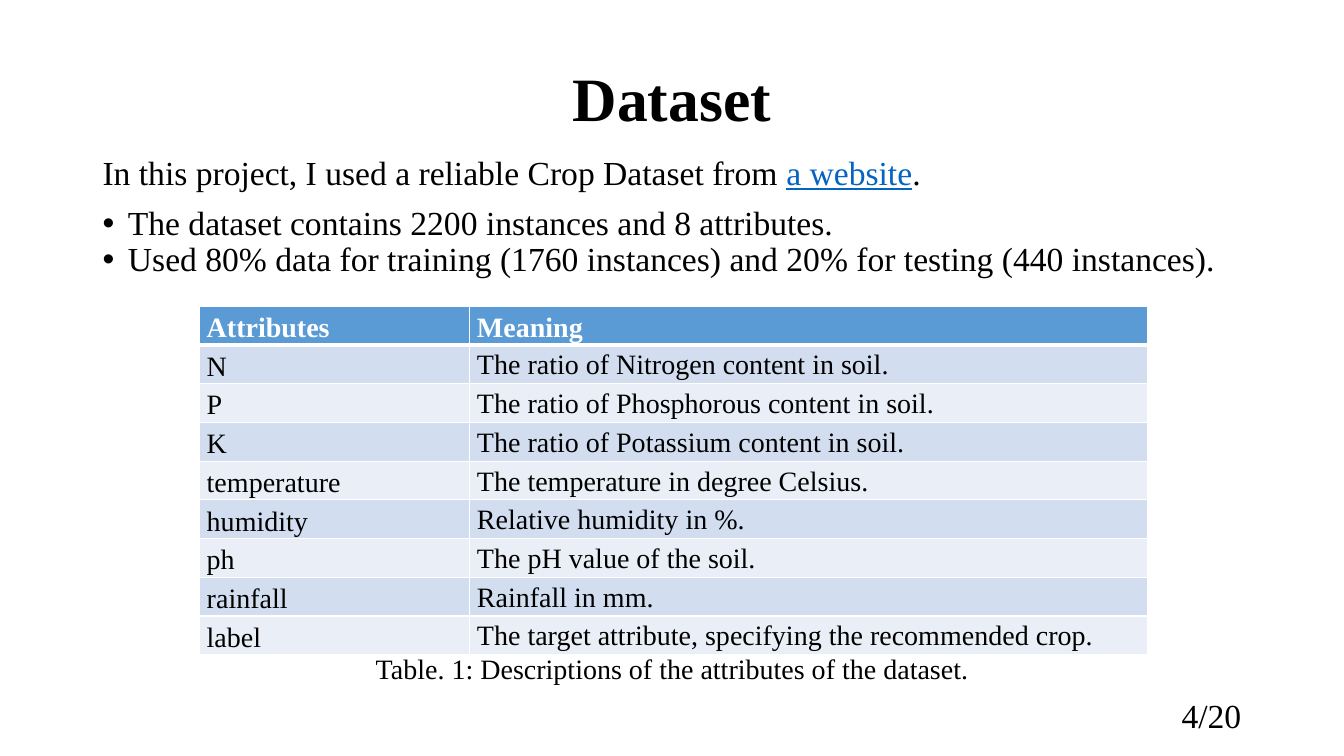
import pptx
import pptx.dml.color
import pptx.enum.text
import pptx.oxml
import pptx.oxml.ns
import pptx.util
from pptx.util import Cm, Pt

FONT = "Times New Roman"
BLACK, WHITE, LINK_BLUE = "000000", "FFFFFF", "0563C1"
HEADER_FILL, BAND_FILLS = "5B9BD5", ("D2DEEF", "EAEFF7")
ALIGN = pptx.enum.text.PP_ALIGN
ANCHOR = pptx.enum.text.MSO_ANCHOR

INTRO = ("In this project, I used a reliable Crop Dataset from ", "a website", ".")
FACTS = (
    "The dataset contains 2200 instances and 8 attributes.",
    "Used 80% data for training (1760 instances) and 20% for testing (440 instances).",
)
ATTRIBUTES = (
    ("Attributes", "Meaning"),
    ("N", "The ratio of Nitrogen content in soil."),
    ("P", "The ratio of Phosphorous content in soil."),
    ("K", "The ratio of Potassium content in soil."),
    ("temperature", "The temperature in degree Celsius."),
    ("humidity", "Relative humidity in %."),
    ("ph", "The pH value of the soil."),
    ("rainfall", "Rainfall in mm."),
    ("label", "The target attribute, specifying the recommended crop."),
)


def color(code):
    return pptx.dml.color.RGBColor.from_string(code)


def place(box, left, top, width, height):
    box.left, box.top, box.width, box.height = Cm(left), Cm(top), Cm(width), Cm(height)


def format_para(para, size, align, code=BLACK, bold=False, line=0.9, before=0, after=0):
    para.alignment = align
    para.line_spacing = line
    para.space_before, para.space_after = Pt(before), Pt(after)
    for span in para.runs:
        span.font.name = FONT
        span.font.size = Pt(size)
        span.font.bold = bold
        span.font.color.rgb = color(code)


def set_bullet(para, symbol=None):
    """Give the paragraph a hanging bullet, or none at all."""
    props = para._p.get_or_add_pPr()
    indent = Cm(0.64) if symbol else 0
    props.set("marL", str(indent))
    props.set("indent", str(-indent))
    if symbol:
        pptx.oxml.ns.qn("a:buFont")
        font = props.makeelement(pptx.oxml.ns.qn("a:buFont"), {"typeface": "Arial"})
        mark = props.makeelement(pptx.oxml.ns.qn("a:buChar"), {"char": symbol})
        props.extend((font, mark))
    else:
        props.append(props.makeelement(pptx.oxml.ns.qn("a:buNone"), {}))


def add_title(page, text):
    title = page.shapes.title
    place(title, 2.33, 1.01, 29.21, 3.1)
    title.text_frame.text = text
    title.text_frame.vertical_anchor = ANCHOR.MIDDLE
    format_para(title.text_frame.paragraphs[0], 44, ALIGN.CENTER, bold=True)


def add_body(page):
    body = page.placeholders[1]
    place(body, 2.33, 3.81, 29.21, 4.22)
    frame = body.text_frame
    frame.auto_size = pptx.enum.text.MSO_AUTO_SIZE.NONE
    intro = frame.paragraphs[0]
    for part in INTRO:
        intro.add_run().text = part
    format_para(intro, 24, ALIGN.LEFT, before=10)
    set_bullet(intro)
    source = intro.runs[1]
    source.font.color.rgb = color(LINK_BLUE)
    source.font.underline = True
    for fact, before in zip(FACTS, (10, 0)):
        para = frame.add_paragraph()
        para.text = fact
        format_para(para, 24, ALIGN.LEFT, before=before)
        set_bullet(para, "•")


def add_label(page, text, size, align, *bounds):
    box = page.shapes.add_textbox(0, 0, 0, 0)
    place(box, *bounds)
    box.text_frame.word_wrap = True
    box.text_frame.text = text
    format_para(box.text_frame.paragraphs[0], size, align)


def set_borders(cell, bottom):
    """Draw white borders, 1 pt except where the bottom or top differs."""
    props = cell._tc.get_or_add_tcPr()
    widths = {"lnL": 1, "lnR": 1, "lnT": 1, "lnB": bottom}
    for index, (side, width) in enumerate(widths.items()):
        props.insert(index, pptx.oxml.parse_xml(
            f'<a:{side} {pptx.oxml.ns.nsdecls("a")} w="{Pt(width)}"><a:solidFill>'
            f'<a:srgbClr val="{WHITE}"/></a:solidFill></a:{side}>'))


def fill_cell(cell, text, fill, header, line, after):
    cell.text_frame.text = text
    cell.vertical_anchor = ANCHOR.MIDDLE
    cell.margin_left = cell.margin_right = Cm(0.18)
    cell.margin_top = cell.margin_bottom = 0
    cell.fill.solid()
    cell.fill.fore_color.rgb = color(fill)
    format_para(cell.text_frame.paragraphs[0], 20, ALIGN.JUSTIFY,
                WHITE if header else BLACK, header, line, after=after)
    set_borders(cell, 3 if header else 1)


def add_attribute_table(page):
    count = len(ATTRIBUTES)
    table = page.shapes.add_table(
        count, 2, Cm(5.03), Cm(7.72), Cm(23.88), Cm(8.33)).table
    for column, width in zip(table.columns, (6.81, 17.07)):
        column.width = Cm(width)
    for index, texts in enumerate(ATTRIBUTES):
        header = index == 0
        table.rows[index].height = Cm(0.93)
        fill = HEADER_FILL if header else BAND_FILLS[(index - 1) % 2]
        after = 0 if index == count - 1 else 8
        for column, text in enumerate(texts):
            line = 1.15 if header or column == 0 else 1.07
            fill_cell(table.cell(index, column), text, fill, header, line, after)


def main():
    deck = pptx.Presentation()
    deck.slide_width, deck.slide_height = Cm(33.87), Cm(19.05)
    page = deck.slides.add_slide(deck.slide_layouts[1])
    add_title(page, "Dataset")
    add_body(page)
    add_label(page, "4/20", 24, ALIGN.RIGHT, 29.24, 17.5, 2.29, 1.19)
    add_attribute_table(page)
    add_label(page, "Table. 1: Descriptions of the attributes of the dataset.",
              20, ALIGN.JUSTIFY, 9.22, 16.38, 15.6, 1.12)
    deck.save("out.pptx")


if __name__ == "__main__":
    main()
